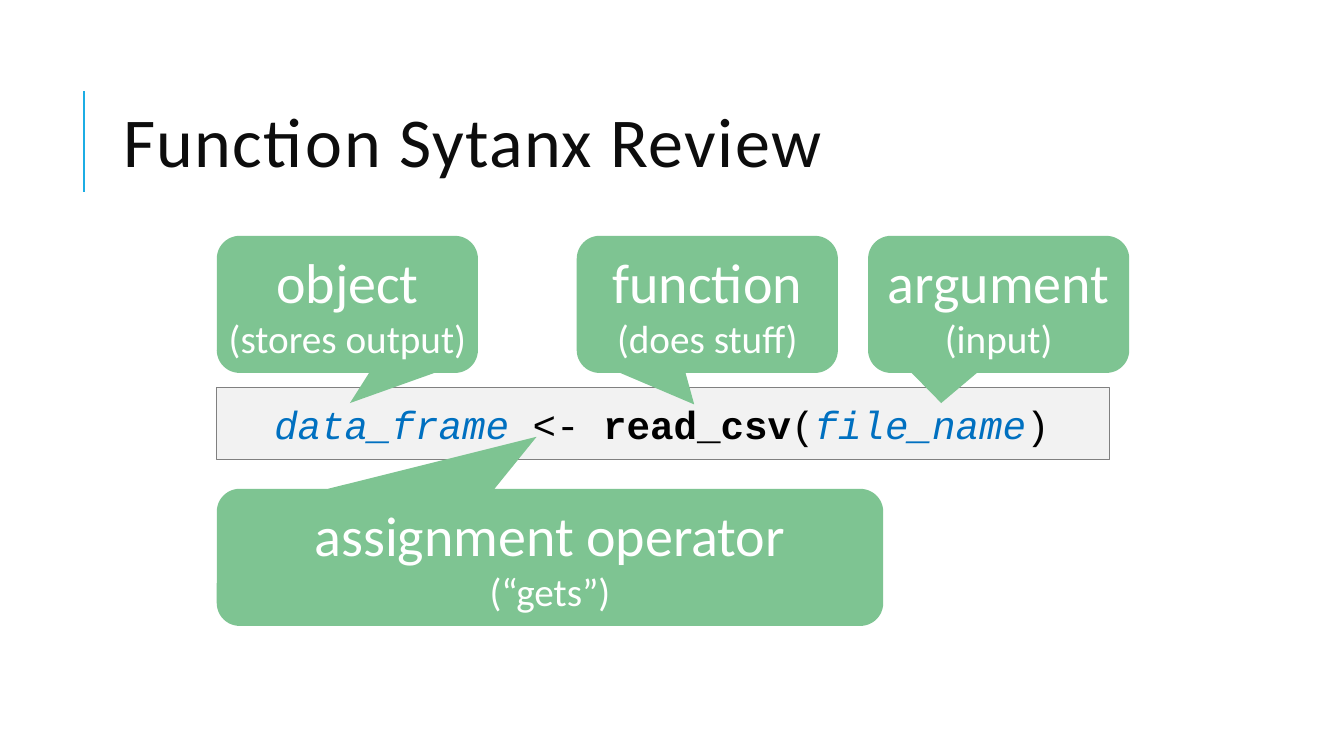
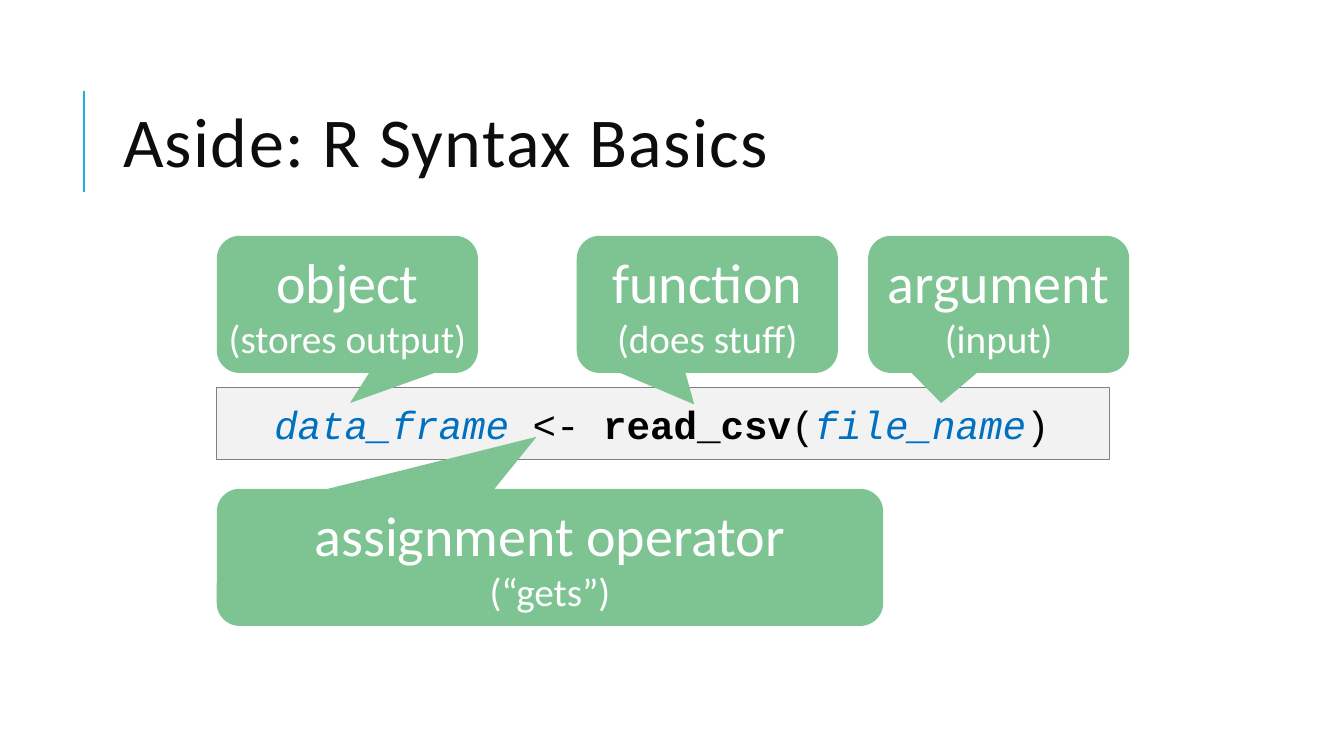
"""Build two slides that label the parts of an R function call."""
from lxml import etree
from pptx import Presentation
from pptx.dml.color import RGBColor
from pptx.enum.shapes import MSO_CONNECTOR, MSO_SHAPE
from pptx.enum.text import MSO_ANCHOR, MSO_AUTO_SIZE, PP_ALIGN
from pptx.oxml.ns import qn
from pptx.util import Inches, Pt

RECT = MSO_SHAPE.RECTANGLE
CALLOUT = MSO_SHAPE.ROUNDED_RECTANGULAR_CALLOUT
STRAIGHT = MSO_CONNECTOR.STRAIGHT
MIDDLE = MSO_ANCHOR.MIDDLE
NO_FIT = MSO_AUTO_SIZE.NONE
LEFT, CENTER = PP_ALIGN.LEFT, PP_ALIGN.CENTER

SANS, MONO = "Calibri", "Courier New"
ACCENT, INK, BLACK, WHITE = "1CADE4", "0D0D0D", "000000", "FFFFFF"
GREEN, BLUE, PANEL, GREY = "7EC492", "0070C0", "F2F2F2", "808080"

X0, COL_W, COL_GAP = 2.15, 2.59, 0.3
ARG_X = 8.61
FUNC_X = ARG_X - COL_W - COL_GAP
ROW_H, CODE_H, CODE_W = 1.36, 0.72, 8.85
TOP_Y = 2.34
CODE_Y = TOP_Y + ROW_H + 0.14
LOW_Y = CODE_Y + CODE_H + 0.29

TITLES = ["Function Sytanx Review", "Aside: R Syntax Basics"]
CODE = [
    ("data_frame ", dict(color=BLUE, italic=True)),
    ("<- ", {}),
    ("read_csv", dict(bold=True)),
    ("(", {}),
    ("file_name", dict(color=BLUE, italic=True)),
    (")", {}),
]
CALLOUTS = [
    ("function", "(does stuff)", FUNC_X, TOP_Y, COL_W, (-0.05, 0.73)),
    ("argument", "(input)", ARG_X, TOP_Y, COL_W, (-0.22, 0.72)),
    ("assignment operator", "(“gets”)", X0, LOW_Y, 6.61, (-0.02, -0.88)),
    ("object", "(stores output)", X0, TOP_Y, COL_W, (0.01, 0.72)),
]


def rgb(value):
    return RGBColor.from_string(value)


def add_run(p, text, size=28, font=SANS, color=BLACK, bold=False, italic=False, spacing=0):
    r = p.add_run()
    r.text = text
    r.font.size, r.font.name = Pt(size), font
    r.font.bold, r.font.italic = bold, italic
    r.font.color.rgb = rgb(color)
    if spacing:
        r.font._element.set("spc", str(spacing * 100))


prs = Presentation()
prs.slide_width, prs.slide_height = Inches(13.33), Inches(7.5)

for title in TITLES:
    s = prs.slides.add_slide(prs.slide_layouts[5])

    bar = s.shapes.add_connector(STRAIGHT, Inches(0.83), Inches(1.9), Inches(0.83), Inches(0.9))
    bar.line.color.rgb = rgb(ACCENT)
    bar.line.width = Pt(1.5)
    etree.SubElement(bar._element.spPr, qn("a:effectLst"))

    sp = s.shapes.title
    sp.left, sp.top, sp.width, sp.height = Inches(1.12), Inches(0.64), Inches(10.63), Inches(1.64)
    tf = sp.text_frame
    tf.auto_size, tf.vertical_anchor = NO_FIT, MIDDLE
    p = tf.paragraphs[0]
    p.alignment, p.line_spacing = LEFT, 0.8
    add_run(p, title, size=50, color=INK, spacing=1)

    sp = s.shapes.add_shape(RECT, Inches(X0), Inches(CODE_Y), Inches(CODE_W), Inches(CODE_H))
    sp.shadow.inherit = False
    sp.fill.solid()
    sp.fill.fore_color.rgb = rgb(PANEL)
    sp.line.color.rgb = rgb(GREY)
    sp.line.width = Pt(0.75)
    tf = sp.text_frame
    tf.margin_left, tf.vertical_anchor = Inches(0.57), MIDDLE
    p = tf.paragraphs[0]
    p.alignment = LEFT
    for text, style in CODE:
        add_run(p, text, font=MONO, **style)

    for name, hint, x, y, w, tip in CALLOUTS:
        sp = s.shapes.add_shape(CALLOUT, Inches(x), Inches(y), Inches(w), Inches(ROW_H))
        sp.adjustments[0], sp.adjustments[1] = tip
        sp.shadow.inherit = False
        sp.fill.solid()
        sp.fill.fore_color.rgb = rgb(GREEN)
        sp.line.fill.background()
        tf = sp.text_frame
        tf.word_wrap, tf.vertical_anchor = True, MIDDLE
        tf.margin_left = tf.margin_right = tf.margin_top = tf.margin_bottom = 0
        for p, text, size in ((tf.paragraphs[0], name, 40), (tf.add_paragraph(), hint, 28)):
            p.alignment = CENTER
            add_run(p, text, size=size, color=WHITE)

prs.save("out.pptx")
